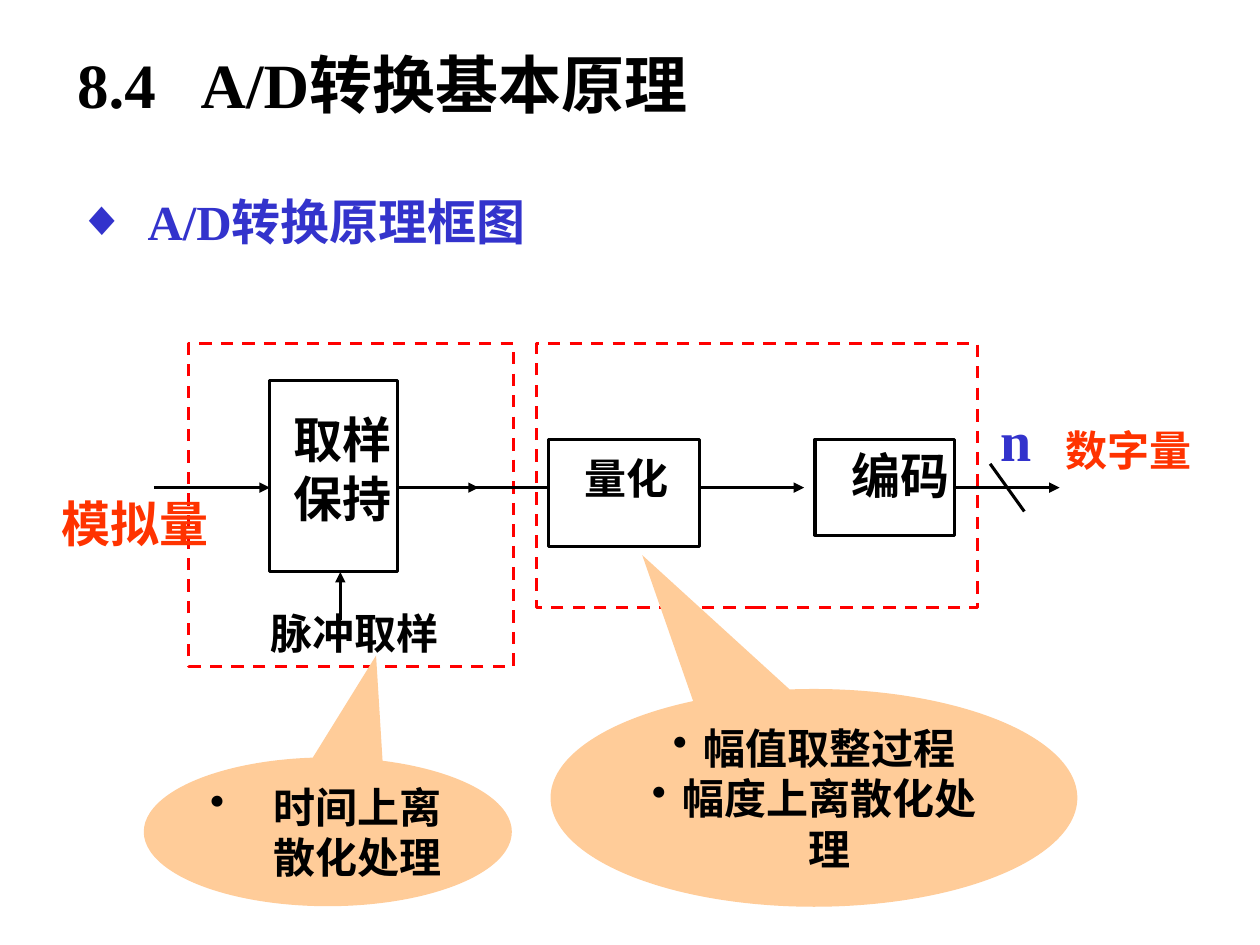
"""Build the slide on the principle of A/D conversion."""
from dataclasses import dataclass

import lxml.etree
import pptx
import pptx.dml.color
import pptx.enum.dml
import pptx.enum.shapes
import pptx.enum.text
import pptx.oxml.ns
import pptx.util

Cm = pptx.util.Cm
Rgb = pptx.dml.color.RGBColor
Align = pptx.enum.text.PP_ALIGN
Anchor = pptx.enum.text.MSO_ANCHOR
Preset = pptx.enum.shapes.MSO_SHAPE


@dataclass(frozen=True)
class Theme:
    font: str = "Times New Roman"
    ink: Rgb = Rgb(0, 0, 0)
    accent: Rgb = Rgb(0x33, 0x33, 0xCC)
    signal: Rgb = Rgb(0xFF, 0x33, 0x00)
    stage: Rgb = Rgb(0xFF, 0x00, 0x00)
    note: Rgb = Rgb(0xFF, 0xCC, 0x99)
    title_size: int = 36
    symbol_size: int = 32
    large_size: int = 28
    small_size: int = 24
    line_width: float = 1.75


THEME = Theme()
SIGNAL_Y = 9.83
STAGE_TOP = 6.93
CODER_TOP = 8.86


@dataclass(frozen=True)
class Area:
    left: float
    top: float
    width: float
    height: float

    def lengths(self) -> tuple:
        return Cm(self.left), Cm(self.top), Cm(self.width), Cm(self.height)


@dataclass(frozen=True)
class Frame:
    area: Area
    dashed: bool = False


@dataclass(frozen=True)
class Wire:
    start: tuple[float, float]
    end: tuple[float, float]
    arrow: bool = True


@dataclass(frozen=True)
class Label:
    lines: tuple[str, ...]
    area: Area
    size: int = THEME.small_size
    color: Rgb = THEME.ink


@dataclass(frozen=True)
class Callout:
    points: tuple[str, ...]
    area: Area
    tip: tuple[float, float]
    hang: float
    align: Align


FRAMES = (
    Frame(Area(5.44, 7.67, 2.57, 3.86)),
    Frame(Area(11.05, CODER_TOP, 3.05, 2.16)),
    Frame(Area(16.43, CODER_TOP, 2.82, 1.93)),
    Frame(Area(3.81, STAGE_TOP, 6.55, 6.5), dashed=True),
    Frame(Area(10.82, STAGE_TOP, 8.89, 5.31), dashed=True),
)
WIRES = (
    Wire((3.1, SIGNAL_Y), (5.44, SIGNAL_Y)),
    Wire((8.03, SIGNAL_Y), (9.65, SIGNAL_Y)),
    Wire((9.42, SIGNAL_Y), (11.05, SIGNAL_Y), arrow=False),
    Wire((14.1, SIGNAL_Y), (16.21, SIGNAL_Y)),
    Wire((19.25, SIGNAL_Y), (21.36, SIGNAL_Y)),
    Wire((6.86, 12.5), (6.86, 11.53)),
    Wire((19.96, 9.35), (20.65, 10.31), arrow=False),
)
LABELS = (
    Label(("脉冲取样",), Area(5.21, 12.12, 4.52, 1.17)),
    Label(("取样", "保持"), Area(5.66, 8.13, 2.72, 2.44), THEME.large_size),
    Label(("量化",), Area(11.53, 8.99, 2.62, 1.17)),
    Label(("编码",), Area(16.92, CODER_TOP, 2.79, 1.35), THEME.large_size),
    Label(("n",), Area(19.91, 8.05, 1.09, 1.5), THEME.symbol_size, THEME.accent),
    Label(("数字量",), Area(21.23, 8.43, 3.45, 1.3), color=THEME.signal),
    Label(("模拟量",), Area(0.99, SIGNAL_Y, 3.73, 1.35), THEME.large_size, THEME.signal),
)
CALLOUTS = (
    Callout(("时间上离散化处理",), Area(2.9, 15.27, 7.42, 3),
            (0.131, -1.185), 1.27, Align.LEFT),
    Callout(("幅值取整过程", "幅度上离散化处理"), Area(11.1, 13.89, 10.62, 4.39),
            (-0.326, -1.115), 0.61, Align.CENTER),
)


def add_child(parent, tag: str, **attributes: str):
    return lxml.etree.SubElement(parent, pptx.oxml.ns.qn(tag), attributes)


def set_bullet(paragraph, mark: str, hang: float) -> None:
    properties = paragraph._p.get_or_add_pPr()
    properties.set("marL", str(Cm(hang)))
    properties.set("indent", str(-Cm(hang)))
    add_child(properties, "a:buChar", char=mark)


def set_tab(paragraph, position: float) -> None:
    stops = add_child(paragraph._p.get_or_add_pPr(), "a:tabLst")
    add_child(stops, "a:tab", pos=str(Cm(position)), algn="l")


def style(paragraph, size: int, color: Rgb, align: Align = Align.LEFT) -> None:
    paragraph.alignment = align
    paragraph.space_before = pptx.util.Pt(0)
    paragraph.font.name = THEME.font
    paragraph.font.size = pptx.util.Pt(size)
    paragraph.font.bold = True
    paragraph.font.color.rgb = color


def fill_placeholder(holder, text: str, area: Area):
    holder.left, holder.top, holder.width, holder.height = area.lengths()
    frame = holder.text_frame
    frame.text = text
    frame.auto_size = pptx.enum.text.MSO_AUTO_SIZE.NONE
    frame.vertical_anchor = Anchor.TOP
    return frame.paragraphs[0]


def draw_frame(shapes, item: Frame) -> None:
    block = shapes.add_shape(Preset.RECTANGLE, *item.area.lengths())
    block.shadow.inherit = False
    block.fill.background()
    block.line.width = pptx.util.Pt(THEME.line_width)
    block.line.color.rgb = THEME.stage if item.dashed else THEME.ink
    if item.dashed:
        block.line.dash_style = pptx.enum.dml.MSO_LINE.DASH


def draw_wire(shapes, item: Wire) -> None:
    ends = (Cm(value) for value in (*item.start, *item.end))
    wire = shapes.add_connector(pptx.enum.shapes.MSO_CONNECTOR.STRAIGHT, *ends)
    wire.line.width = pptx.util.Pt(THEME.line_width)
    wire.line.color.rgb = THEME.ink
    if item.arrow:
        add_child(wire.line._get_or_add_ln(), "a:tailEnd", type="triangle")
    add_child(wire._element.spPr, "a:effectLst")


def draw_label(shapes, item: Label) -> None:
    frame = shapes.add_textbox(*item.area.lengths()).text_frame
    frame.word_wrap = True
    frame.text = "\n".join(item.lines)
    for paragraph in frame.paragraphs:
        style(paragraph, item.size, item.color)


def draw_callout(shapes, item: Callout) -> None:
    bubble = shapes.add_shape(Preset.OVAL_CALLOUT, *item.area.lengths())
    bubble.adjustments[0], bubble.adjustments[1] = item.tip
    bubble.shadow.inherit = False
    bubble.fill.solid()
    bubble.fill.fore_color.rgb = THEME.note
    bubble.line.fill.background()
    frame = bubble.text_frame
    frame.word_wrap = True
    frame.vertical_anchor = Anchor.MIDDLE
    frame.text = "\n".join(item.points)
    for paragraph in frame.paragraphs:
        set_bullet(paragraph, "•", item.hang)
        style(paragraph, THEME.small_size, THEME.ink, item.align)


def main() -> None:
    deck = pptx.Presentation()
    deck.slide_width, deck.slide_height = Cm(25.4), Cm(19.05)
    slide = deck.slides.add_slide(deck.slide_layouts[1])
    heading = fill_placeholder(slide.shapes.title, "8.4\tA/D转换基本原理",
                               Area(1.3, 0.79, 17.8, 1.8))
    set_tab(heading, 2.49)
    style(heading, THEME.title_size, THEME.ink)
    topic = fill_placeholder(slide.placeholders[1], "A/D转换原理框图",
                             Area(1.3, 3.73, 11.81, 1.4))
    set_bullet(topic, "◆", 1.42)
    style(topic, THEME.large_size, THEME.accent)
    for draw, items in ((draw_frame, FRAMES), (draw_wire, WIRES),
                        (draw_label, LABELS), (draw_callout, CALLOUTS)):
        for item in items:
            draw(slide.shapes, item)
    deck.save("out.pptx")


if __name__ == "__main__":
    main()
